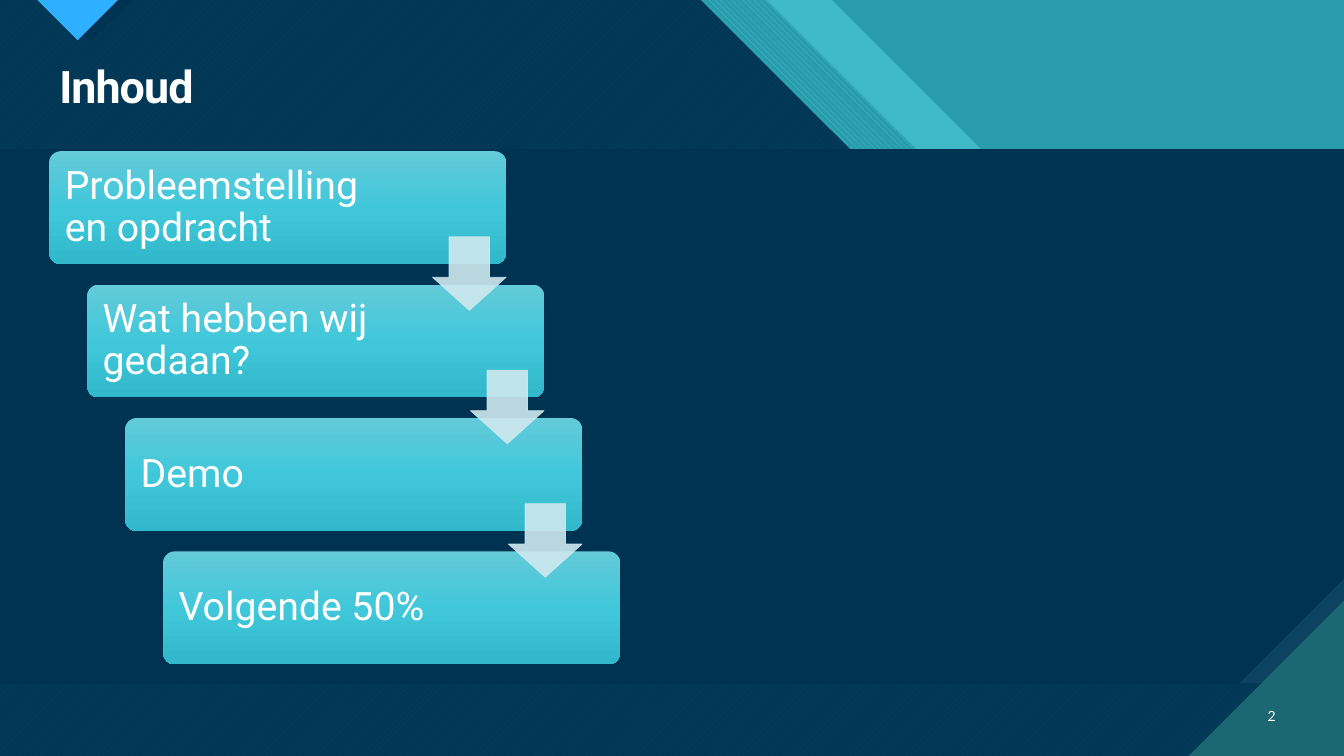
from copy import deepcopy
from dataclasses import dataclass
from typing import Any, Optional

from lxml.etree import SubElement
from pptx import Presentation
from pptx.dml.color import RGBColor
from pptx.enum.dml import MSO_PATTERN
from pptx.enum.shapes import MSO_SHAPE
from pptx.enum.text import MSO_ANCHOR, PP_ALIGN
from pptx.oxml.ns import qn
from pptx.slide import Slide
from pptx.util import Inches, Pt

HUES = {
    "teal": "299CAB", "aqua": "47C3D3", "navy": "003352", "edge": "0C4360",
    "pine": "1B6872", "blue": "2FAFFF", "ice": "CFE9EF", "white": "FFFFFF",
    "top": "63CAD9", "mid": "40C8DA", "low": "31B8CA",
}
STEPS = ["Probleemstelling en opdracht", "Wat hebben wij gedaan?", "Demo", "Volgende 50%"]
LEFT, TOP, WIDE, HIGH = 0.49, 1.5, 4.53, 1.12
SHIFT, DROP = 1.13 / 3, 3.97 / 3
Point = tuple[float, float]


@dataclass
class Area:
    """A flat or hatched background outline."""
    points: list[Point]
    hue: str
    alpha: int = 100
    hatch: Optional[Any] = None
    back: str = "pine"


@dataclass
class Label:
    """Text with its place and format."""
    text: str
    place: tuple[float, float, float, float]
    font: dict[str, Any]
    para: dict[str, Any]
    track: int = 0


SWEEP = [(0, 0), (6.95, 0), (9.92, 2.97), (11.18, 2.97), (13.33, 5.12), (13.33, 7.5), (0, 7.5)]
AREAS = [
    Area([(0, 0), (8.25, 0), (11.22, 2.97), (12.34, 2.97), (13.33, 3.96),
          (13.33, 7.5), (0, 7.5)], "aqua", 74),
    Area([(0, 0), (7.6, 0), (10.58, 2.97), (11.84, 2.97), (13.33, 4.47),
          (13.33, 7.5), (0, 7.5)], "aqua", hatch=MSO_PATTERN.WIDE_DOWNWARD_DIAGONAL, back="teal"),
    Area(SWEEP, "aqua", hatch=MSO_PATTERN.WIDE_UPWARD_DIAGONAL),
    Area(SWEEP, "navy", 90),
    Area([(0.48, 0), (1.31, 0), (0.9, 0.41)], "navy"),
    Area([(0.37, 0), (1.17, 0), (0.77, 0.4)], "blue"),
    Area([(0, 1.48), (13.33, 1.48), (13.33, 6.78), (0, 6.78)], "edge"),
    Area([(0, 1.48), (13.33, 1.48), (13.33, 5.74), (12.29, 6.78), (0, 6.78)], "navy"),
    Area([(11.79, 7.5), (13.33, 7.5), (13.33, 5.96)], "pine"),
]
LABELS = [
    Label("Inhoud", (0.49, 0.59, 12.26, 0.59), {"size": Pt(32), "name": "Roboto", "bold": True},
          {"line_spacing": 0.9}, -70),
    Label("2", (12.31, 6.9, 0.44, 0.4), {"size": Pt(10), "name": "Lato"},
          {"alignment": PP_ALIGN.RIGHT}),
]


def tint(name: str) -> RGBColor:
    """Return a named colour."""
    return RGBColor.from_string(HUES[name])


def apply(item: Any, looks: dict[str, Any]) -> None:
    """Set every format value on an object."""
    for key, value in looks.items():
        setattr(item, key, value)


def fade(shape: Any, alpha: int) -> None:
    """Make all solid colours of a shape partly transparent."""
    for node in shape._element.spPr.iter(qn("a:srgbClr")):
        SubElement(node, qn("a:alpha")).set("val", str(alpha * 1000))


def paint(shape: Any, hue: str, alpha: int = 100) -> None:
    """Give a shape a plain fill without line or shadow."""
    shape.shadow.inherit = False
    shape.line.fill.background()
    shape.fill.solid()
    shape.fill.fore_color.rgb = tint(hue)
    if alpha < 100:
        fade(shape, alpha)


def blend(shape: Any) -> None:
    """Give a step box its downward gradient."""
    shape.shadow.inherit = False
    shape.line.fill.background()
    shape.fill.gradient()
    shape.fill.gradient_angle = 270
    stops = shape._element.spPr.find(qn("a:gradFill")).find(qn("a:gsLst"))
    stops.insert(1, deepcopy(stops[0]))
    for stop, hue, pos in zip(shape.fill.gradient_stops, ("top", "mid", "low"), (0, 0.5, 1)):
        stop.color.rgb = tint(hue)
        stop.position = pos


def trace(slide: Slide, area: Area) -> None:
    """Draw a background outline."""
    first, *rest = [(Inches(x), Inches(y)) for x, y in area.points]
    pen = slide.shapes.build_freeform(*first)
    pen.add_line_segments(rest, close=True)
    shape = pen.convert_to_shape()
    paint(shape, area.hue, area.alpha)
    if area.hatch is not None:
        shape.fill.patterned()
        shape.fill.pattern = area.hatch
        shape.fill.fore_color.rgb = tint(area.hue)
        shape.fill.back_color.rgb = tint(area.back)


def write(frame: Any, text: str, font: dict[str, Any], para: dict[str, Any], track: int = 0) -> None:
    """Fill a text frame with one white paragraph."""
    apply(frame, {"word_wrap": True, "vertical_anchor": MSO_ANCHOR.MIDDLE})
    line = frame.paragraphs[0]
    apply(line, para)
    run = line.add_run()
    run.text = text
    apply(run.font, font)
    run.font.color.rgb = tint("white")
    if track:
        run.font._element.set("spc", str(track))


def step(slide: Slide, rank: int, text: str) -> None:
    """Draw one box of the staircase."""
    box = slide.shapes.add_shape(
        MSO_SHAPE.ROUNDED_RECTANGLE, Inches(LEFT + rank * SHIFT), Inches(TOP + rank * DROP),
        Inches(WIDE), Inches(HIGH))
    box.adjustments[0] = 0.1
    blend(box)
    apply(box.text_frame, {"margin_left": Inches(0.12), "margin_right": Inches(1.24),
                           "margin_top": Inches(0.12), "margin_bottom": Inches(0.12)})
    write(box.text_frame, text, {"size": Pt(28), "name": "Roboto"},
          {"line_spacing": 0.9, "alignment": PP_ALIGN.LEFT})


def arrow(slide: Slide, rank: int) -> None:
    """Draw the arrow that leads to the next box."""
    mark = slide.shapes.add_shape(
        MSO_SHAPE.DOWN_ARROW, Inches(LEFT + 3.8 + rank * SHIFT), Inches(TOP + 0.85 + rank * DROP),
        Inches(0.73), Inches(0.73))
    mark.adjustments[0], mark.adjustments[1] = 0.55, 0.45
    paint(mark, "ice")
    mark.line.color.rgb = tint("ice")
    mark.line.width = Pt(0.5)
    fade(mark, 90)


def main() -> None:
    """Build the slide and save it."""
    deck = Presentation()
    apply(deck, {"slide_width": Inches(13.33), "slide_height": Inches(7.5)})
    slide = deck.slides.add_slide(deck.slide_layouts[6])
    slide.background.fill.solid()
    slide.background.fill.fore_color.rgb = tint("teal")
    for area in AREAS:
        trace(slide, area)
    for label in LABELS:
        box = slide.shapes.add_textbox(*map(Inches, label.place))
        write(box.text_frame, label.text, label.font, label.para, label.track)
    for rank, text in enumerate(STEPS):
        step(slide, rank, text)
    for rank in range(len(STEPS) - 1):
        arrow(slide, rank)
    deck.save("out.pptx")


if __name__ == "__main__":
    main()
